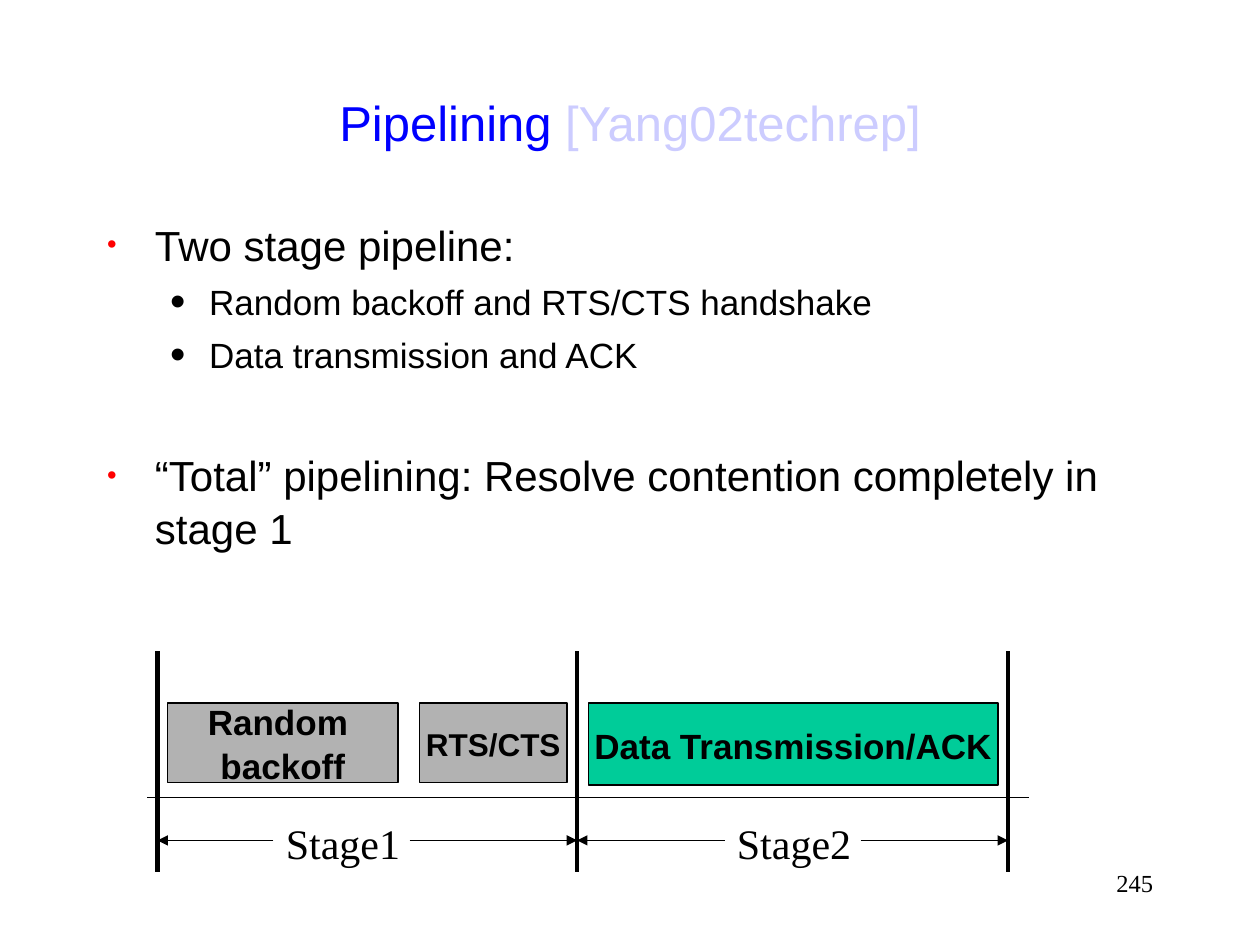
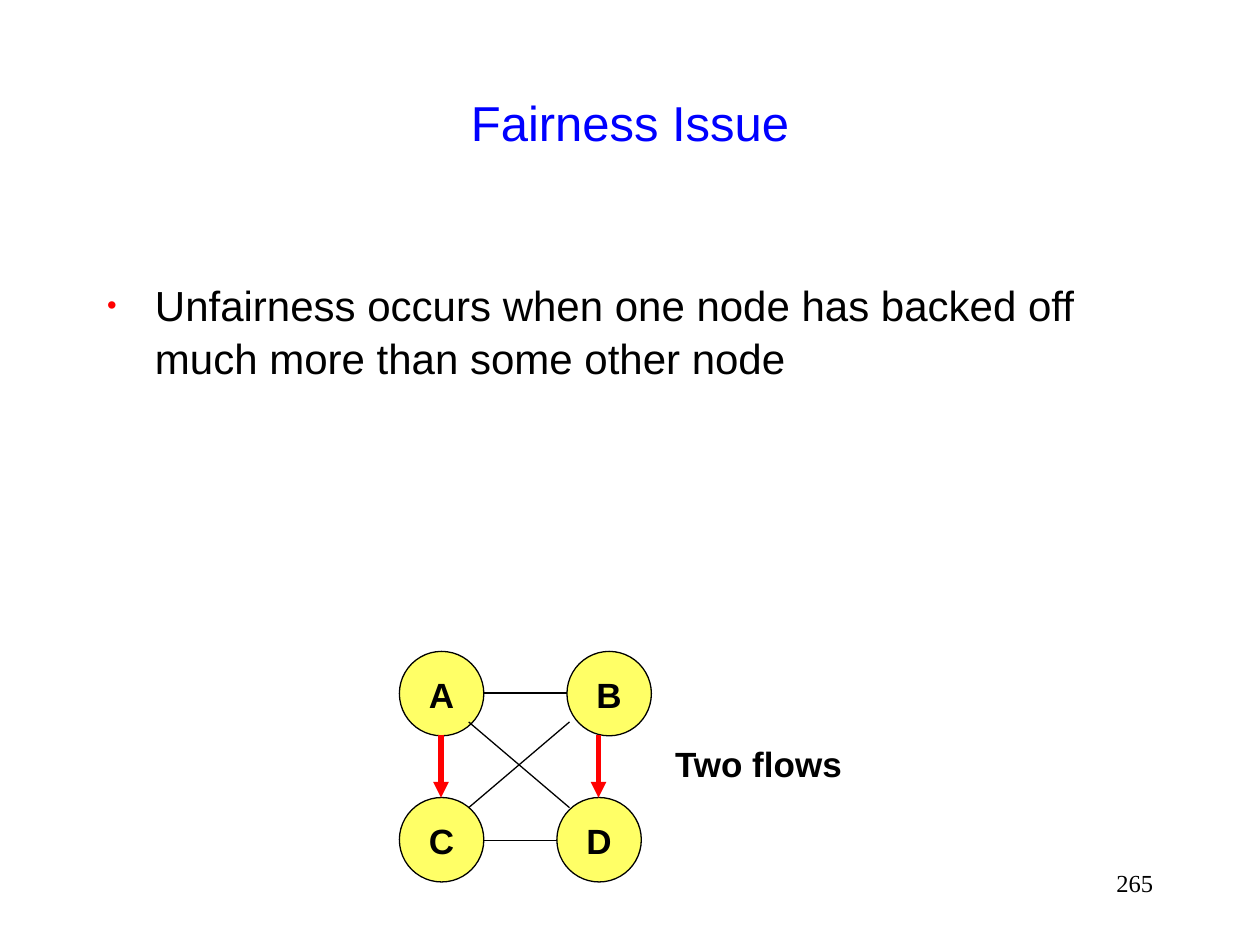
from dataclasses import dataclass
from typing import Any, NamedTuple

from lxml.etree import SubElement
from pptx import Presentation
from pptx.dml.color import RGBColor as RGB
from pptx.enum.shapes import MSO_CONNECTOR as CONNECTOR, MSO_SHAPE as SHAPE
from pptx.enum.text import MSO_ANCHOR as ANCHOR, MSO_AUTO_SIZE as AUTOSIZE, PP_ALIGN as ALIGN
from pptx.oxml.ns import qn
from pptx.util import Inches, Pt


@dataclass(frozen=True)
class Theme:
    black: RGB = RGB(0x00, 0x00, 0x00)
    blue: RGB = RGB(0x00, 0x00, 0xFF)
    pale_blue: RGB = RGB(0xCC, 0xCC, 0xFF)
    red: RGB = RGB(0xFF, 0x00, 0x00)
    gray: RGB = RGB(0xB2, 0xB2, 0xB2)
    green: RGB = RGB(0x00, 0xCC, 0x99)
    yellow: RGB = RGB(0xFF, 0xFF, 0x66)
    sans: str = "Arial"
    serif: str = "Times New Roman"
    title: float = 28
    body: float = 24
    label: float = 20
    small_label: float = 18
    page: float = 14
    thin: float = 0.75
    thick: float = 2.75
    flow: float = 3
    line_spacing: float = 1.05


T = Theme()


class Level(NamedTuple):
    size: float
    indent: float
    hanging: float
    space_before: float
    bullet_color: RGB
    bullet_percent: int


LEVELS = (
    Level(T.body, 0.38, 0.38, 6, T.red, 65),
    Level(T.label, 0.81, 0.31, 5, T.black, 125),
)


class Item(NamedTuple):
    text: str
    level: int = 0
    space_before: float | None = None


class Block(NamedTuple):
    lines: tuple[str, ...]
    left: float
    top: float
    width: float
    height: float
    fill: RGB
    size: float = T.label
    shape: SHAPE = SHAPE.RECTANGLE


class Line(NamedTuple):
    x1: float
    y1: float
    x2: float
    y2: float
    color: RGB = T.black
    width: float = T.thin
    arrow: bool = False


def write(p: Any, text: str, *, size: float = T.label, font: str = T.sans,
          color: RGB = T.black, bold: bool = False, align: ALIGN = ALIGN.LEFT) -> None:
    p.alignment = align
    p.line_spacing = T.line_spacing
    r = p.add_run()
    r.text = text
    r.font.size = Pt(size)
    r.font.name = font
    r.font.color.rgb = color
    r.font.bold = bold


def place(sp: Any, left: float, top: float, width: float, height: float) -> None:
    sp.left, sp.top = Inches(left), Inches(top)
    sp.width, sp.height = Inches(width), Inches(height)


def add_bullet(p: Any, level: Level) -> None:
    pPr = p._p.get_or_add_pPr()
    pPr.set("marL", str(Inches(level.indent)))
    pPr.set("indent", str(-Inches(level.hanging)))
    color = SubElement(pPr, qn("a:buClr"))
    SubElement(color, qn("a:srgbClr"), val=str(level.bullet_color))
    SubElement(pPr, qn("a:buSzPct"), val=str(level.bullet_percent * 1000))
    SubElement(pPr, qn("a:buFont"), typeface=T.sans)
    SubElement(pPr, qn("a:buChar"), char="•")


def add_list(s: Any, items: list[Item], inset_top: float) -> None:
    sp = s.placeholders[1]
    place(sp, 0.75, 1.67, 8.5, 5)
    tf = sp.text_frame
    tf.auto_size = AUTOSIZE.NONE
    tf.margin_top = Inches(inset_top)
    for i, item in enumerate(items):
        level = LEVELS[item.level]
        p = tf.add_paragraph() if i else tf.paragraphs[0]
        p.level = item.level
        before = level.space_before if item.space_before is None else item.space_before
        p.space_before = Pt(before if i else 0)
        add_bullet(p, level)
        write(p, item.text, size=level.size)


def add_label(shapes: Any, text: str, left: float, top: float, width: float,
              height: float, **style: Any) -> Any:
    sp = shapes.add_textbox(Inches(left), Inches(top), Inches(width), Inches(height))
    tf = sp.text_frame
    tf.word_wrap = True
    write(tf.paragraphs[0], text, **style)
    return tf


def add_block(shapes: Any, b: Block) -> None:
    sp = shapes.add_shape(b.shape, Inches(b.left), Inches(b.top),
                          Inches(b.width), Inches(b.height))
    sp.shadow.inherit = False
    sp.fill.solid()
    sp.fill.fore_color.rgb = b.fill
    sp.line.color.rgb = T.black
    sp.line.width = Pt(T.thin)
    tf = sp.text_frame
    tf.word_wrap = False
    tf.vertical_anchor = ANCHOR.MIDDLE
    for i, text in enumerate(b.lines):
        p = tf.add_paragraph() if i else tf.paragraphs[0]
        write(p, text, size=b.size, bold=True, align=ALIGN.CENTER)


def add_line(shapes: Any, ln: Line) -> None:
    cxn = shapes.add_connector(CONNECTOR.STRAIGHT, Inches(ln.x1), Inches(ln.y1),
                               Inches(ln.x2), Inches(ln.y2))
    cxn.line.color.rgb = ln.color
    cxn.line.width = Pt(ln.width)
    spPr = cxn._element.spPr
    if ln.arrow:
        SubElement(spPr.find(qn("a:ln")), qn("a:tailEnd"), type="triangle")
    SubElement(spPr, qn("a:effectLst"))


def add_slide(prs: Any, title: list[tuple[str, RGB]], items: list[Item], page: str,
              inset_top: float = 0.05) -> Any:
    s = prs.slides.add_slide(prs.slide_layouts[1])
    place(s.shapes.title, 0.75, 0.33, 8.5, 1.25)
    tf = s.shapes.title.text_frame
    tf.auto_size = AUTOSIZE.NONE
    tf.vertical_anchor = ANCHOR.MIDDLE
    for text, color in title:
        write(tf.paragraphs[0], text, size=T.title, color=color, align=ALIGN.CENTER)
    add_list(s, items, inset_top)
    add_label(s.shapes, page, 7.17, 6.83, 2.08, 0.5,
              size=T.page, font=T.serif, align=ALIGN.RIGHT)
    return s


def build_pipelining(prs: Any) -> None:
    s = add_slide(
        prs,
        [("Pipelining ", T.blue), ("[Yang02techrep]", T.pale_blue)],
        [
            Item("Two stage pipeline:"),
            Item("Random backoff and RTS/CTS handshake", 1),
            Item("Data transmission and ACK", 1),
            Item("“Total” pipelining: Resolve contention completely in stage 1",
                 space_before=41),
        ],
        "245",
    )
    shapes = s.shapes.add_group_shape().shapes
    for block in (
        Block(("Random ", "backoff"), 1.33, 5.58, 1.83, 0.63, T.gray),
        Block(("RTS/CTS",), 3.33, 5.58, 1.17, 0.63, T.gray, T.small_label),
        Block(("Data Transmission/ACK",), 4.67, 5.58, 3.25, 0.65, T.green),
    ):
        add_block(shapes, block)

    start, middle, end = boundaries = (1.25, 4.58, 8)
    for x in boundaries:
        add_line(shapes, Line(x, 5.17, x, 6.92, width=T.thick))
    add_line(shapes, Line(1.17, 6.33, 8.17, 6.33))

    arrow_y = 6.67
    for name, left, label_x, label_end, right in (
        ("Stage1", start, 2.17, 3.25, middle),
        ("Stage2", middle, 5.75, 6.83, end),
    ):
        add_label(shapes, name, label_x, 6.42, 1.18, 0.5, size=T.body, font=T.serif)
        add_line(shapes, Line(label_x, arrow_y, left, arrow_y, arrow=True))
        add_line(shapes, Line(label_end, arrow_y, right, arrow_y, arrow=True))


def build_fairness(prs: Any) -> None:
    s = add_slide(
        prs,
        [("Fairness Issue", T.blue)],
        [Item("Unfairness occurs when one node has backed off much more "
              "than some other node")],
        "265",
        inset_top=0.53,
    )
    diameter = 0.67
    for name, left, top in (("A", 3.17, 5.17), ("B", 4.5, 5.17),
                            ("C", 3.17, 6.33), ("D", 4.42, 6.33)):
        add_block(s.shapes, Block((name,), left, top, diameter, diameter,
                                  T.yellow, shape=SHAPE.OVAL))
    for link in (
        Line(3.83, 5.5, 4.5, 5.5),
        Line(3.83, 6.67, 4.42, 6.67),
        Line(3.72, 5.73, 4.52, 6.41),
        Line(4.52, 5.73, 3.72, 6.41),
    ):
        add_line(s.shapes, link)
    for x in (3.5, 4.75):
        add_line(s.shapes, Line(x, 5.83, x, 6.33, T.red, T.flow, True))
    tf = add_label(s.shapes, "Two flows", 5.25, 5.83, 1.54, 0.44,
                   bold=True, align=ALIGN.CENTER)
    tf.word_wrap = False
    tf.vertical_anchor = ANCHOR.MIDDLE


def main() -> None:
    prs = Presentation()
    prs.slide_width, prs.slide_height = Inches(10), Inches(7.5)
    build_pipelining(prs)
    build_fairness(prs)
    prs.save("out.pptx")


if __name__ == "__main__":
    main()
